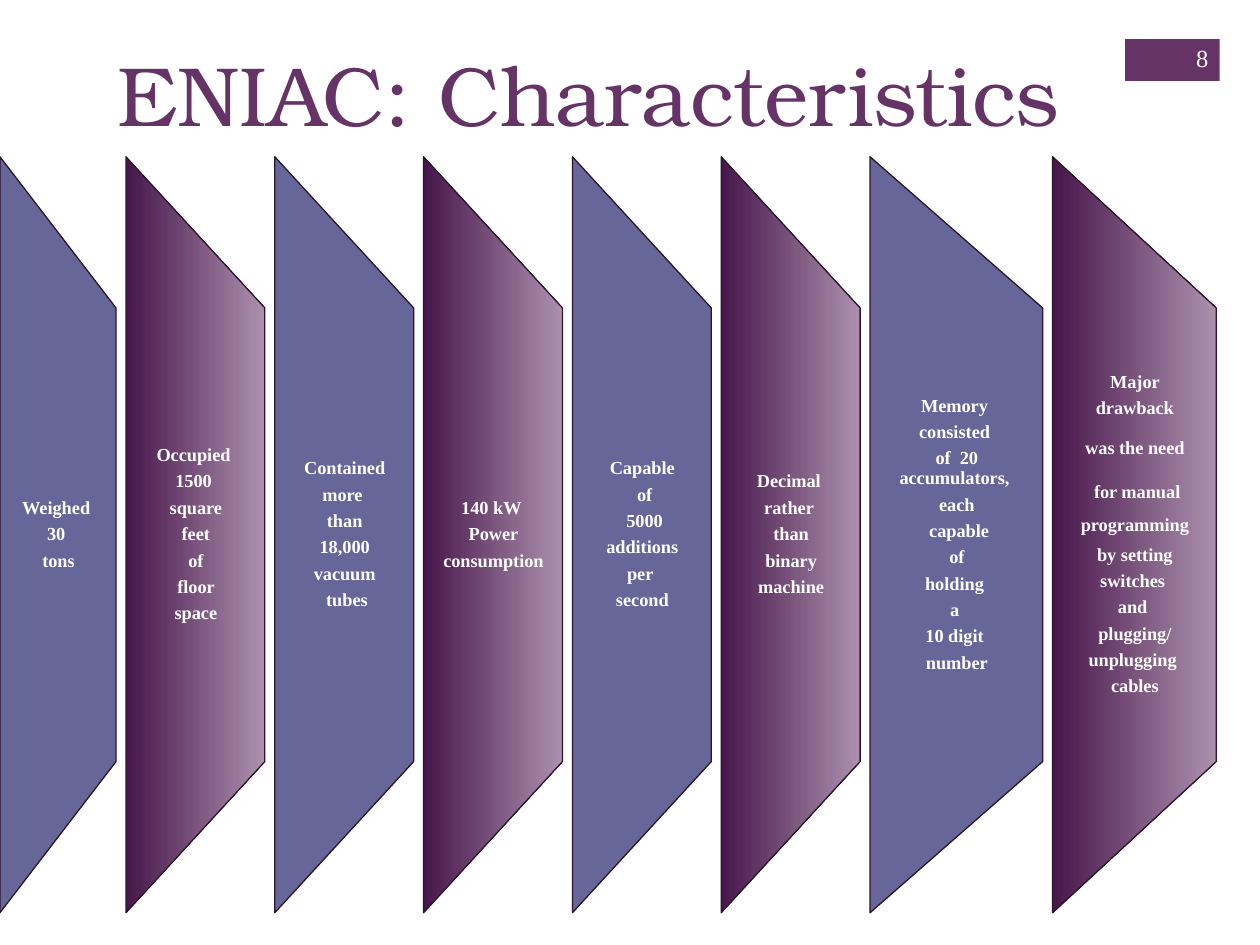
import pptx
import pptx.dml.color
import pptx.enum.shapes
import pptx.enum.text
import pptx.util
from dataclasses import dataclass

Cm = pptx.util.Cm
Pt = pptx.util.Pt
SHAPE = pptx.enum.shapes.MSO_SHAPE
ALIGN = pptx.enum.text.PP_ALIGN
ANCHOR = pptx.enum.text.MSO_ANCHOR


@dataclass(frozen=True)
class Theme:
    accent: str = "663366"
    panel: str = "666699"
    fade: tuple = ("47174B", "AC90AE")
    outline: str = "2B142D"
    light: str = "FFFFFF"
    title_font: str = "TeX Gyre Bonum"
    body_font: str = "Times New Roman"
    title_size: float = 48
    body_size: float = 10.5
    number_size: float = 14


def rgb(value):
    return pptx.dml.color.RGBColor.from_string(value)


def add_text(tf, text, *, font, size, color, bold=False, align=ALIGN.LEFT,
             spacing=None, before=None):
    """Write one paragraph, filling the empty first one if there is one."""
    p = tf.paragraphs[0]
    if p.runs:
        p = tf.add_paragraph()
    p.alignment = align
    if spacing is not None:
        p.line_spacing = spacing
    if before is not None:
        p.space_before = Pt(before)
    r = p.add_run()
    r.text = text
    r.font.name, r.font.size, r.font.bold = font, Pt(size), bold
    r.font.color.rgb = rgb(color)


class Deck:
    def __init__(self, theme):
        self.theme = theme
        self.prs = pptx.Presentation()
        self.prs.slide_width, self.prs.slide_height = Cm(25.4), Cm(19.05)
        self.s = None

    def add_slide(self):
        self.s = self.prs.slides.add_slide(self.prs.slide_layouts[6])

    def box(self, x, y, w, h, margins=(0.25, 0.13, 0.25, 0.13)):
        tf = self.s.shapes.add_textbox(Cm(x), Cm(y), Cm(w), Cm(h)).text_frame
        tf.word_wrap = True
        tf.vertical_anchor = ANCHOR.MIDDLE
        (tf.margin_left, tf.margin_top,
         tf.margin_right, tf.margin_bottom) = map(Cm, margins)
        return tf

    def title(self, text):
        t = self.theme
        add_text(self.box(2.11, 0.64, 20.98, 2.46), text, font=t.title_font,
                 size=t.title_size, color=t.accent)

    def badge(self):
        sp = self.s.shapes.add_shape(SHAPE.RECTANGLE, Cm(22.68), Cm(0.79),
                                     Cm(1.91), Cm(0.84))
        sp.shadow.inherit = False
        sp.fill.solid()
        sp.fill.fore_color.rgb = rgb(self.theme.accent)
        sp.line.fill.background()

    def number(self, text):
        t = self.theme
        add_text(self.box(23.06, 0.66, 1.55, 1.02), text, font=t.body_font,
                 size=t.number_size, color=t.light, align=ALIGN.RIGHT)

    def panel(self, x, mid, w, h, faded):
        """Trapezoid turned a quarter left, so its long side faces left."""
        t = self.theme
        sp = self.s.shapes.add_shape(SHAPE.FLOWCHART_MANUAL_OPERATION,
                                     Cm(x + w / 2 - h / 2), Cm(mid - w / 2),
                                     Cm(h), Cm(w))
        sp.rotation = 270
        sp.shadow.inherit = False
        if faded:
            sp.fill.gradient()
            sp.fill.gradient_angle = 270
            for stop, color in zip(sp.fill.gradient_stops, t.fade):
                stop.color.rgb = rgb(color)
            sp.fill.gradient_stops[0].position = 0
            sp.fill.gradient_stops[1].position = 1
        else:
            sp.fill.solid()
            sp.fill.fore_color.rgb = rgb(t.panel)
        sp.line.color.rgb = rgb(t.outline)
        sp.line.width = Pt(0.75)

    def panel_text(self, x, mid, w, h, lines):
        t = self.theme
        tf = self.box(x, mid - h / 2, w, h, margins=(0.2, 0, 0.18, 0))
        for i, line in enumerate(lines):
            text, spacing, before = (
                (line, 0.9, 3.7) if isinstance(line, str) else line)
            add_text(tf, text, font=t.body_font, size=t.body_size,
                     color=t.light, bold=True, align=ALIGN.CENTER,
                     spacing=spacing, before=before if i else None)


# Panel width in cm and its lines; a tuple adds line spacing and space before
PANELS = [
    (2.34, ["Weighed ", "30 ", "tons"]),
    (2.8, ["Occupied ", "1500 ", "square", " feet ", "of", " floor ",
           "space"]),
    (2.8, ["Contained", "more ", "than", " 18,000 ", "vacuum", " tubes"]),
    (2.8, ["140 kW ", "Power", "consumption"]),
    (2.8, ["Capable", " of", " 5000", " additions ", "per ", "second"]),
    (2.8, ["Decimal ", "rather ", "than", " binary ", "machine"]),
    (3.48, ["Memory ", "consisted ", "of  20 accumulators, ", "each",
            " capable", " of ", "holding ", "a ", "10 digit ", "number"]),
    (3.3, ["Major", " drawback ", ("was the need", 1.5, 3.7),
           (" for manual programming", 1.5, 6), (" by setting ", 0.9, 6),
           "switches ", "and ", "plugging/", "unplugging ", "cables"]),
]
PANEL_GAP, PANEL_MID = 0.2, 10.78
PANEL_HEIGHT, TEXT_HEIGHT = 15.24, 9.14


def main():
    deck = Deck(Theme())
    deck.add_slide()

    # Heading
    deck.badge()
    deck.title("ENIAC: Characteristics")

    # Row of panels, alternating plain and faded
    x = 0
    for i, (w, lines) in enumerate(PANELS):
        deck.panel(x, PANEL_MID, w, PANEL_HEIGHT, faded=i % 2 == 1)
        deck.panel_text(x, PANEL_MID, w, TEXT_HEIGHT, lines)
        x += w + PANEL_GAP

    # Slide number
    deck.number("8")
    deck.prs.save("out.pptx")


if __name__ == "__main__":
    main()
